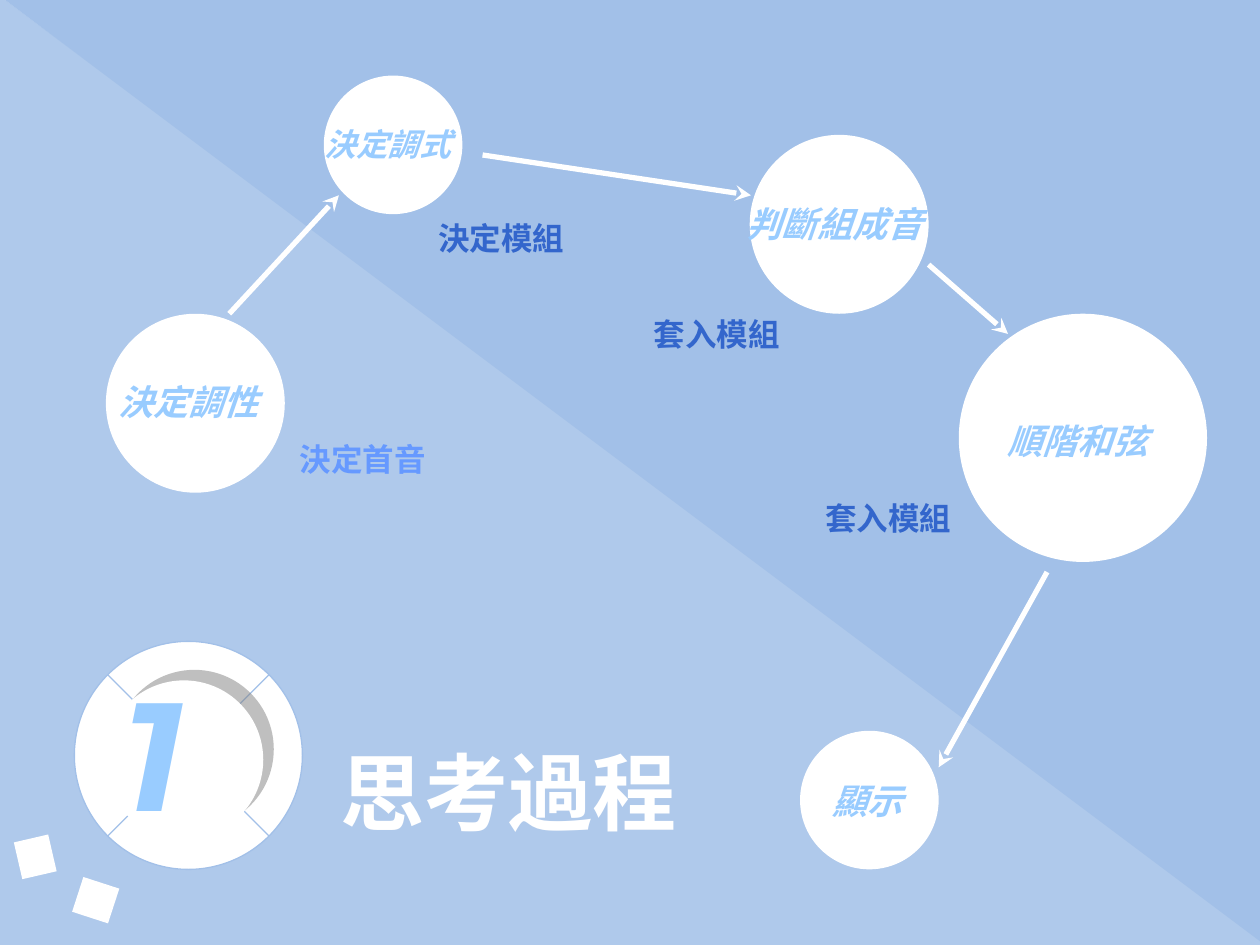
from lxml.etree import SubElement
from pptx import Presentation
from pptx.dml.color import RGBColor
from pptx.enum.shapes import MSO_CONNECTOR as Line, MSO_SHAPE as Kind
from pptx.enum.text import MSO_ANCHOR as Anchor, MSO_AUTO_SIZE as Fit, PP_ALIGN as Align
from pptx.oxml import parse_xml
from pptx.oxml.ns import nsdecls, qn
from pptx.util import Inches, Pt

WHITE = RGBColor(0xFF, 0xFF, 0xFF)
BASE = RGBColor(0xA2, 0xC0, 0xE8)
PALE = RGBColor(0x99, 0xCC, 0xFF)
MID = RGBColor(0x66, 0x99, 0xFF)
DEEP = RGBColor(0x33, 0x66, 0xCC)
SANS, LATIN = "Noto Sans CJK SC", "Montserrat"

deck = Presentation()
deck.slide_width, deck.slide_height = Inches(10), Inches(7.5)
CELL = deck.slide_width // 100  # the grid has 100 columns and 75 rows
slide = deck.slides.add_slide(deck.slide_layouts[5])
shapes = slide.shapes


def cells(*counts):
    """Turn counts of grid cells into lengths."""
    return [round(n * CELL) for n in counts]


def write(words, spot, size=18, font=SANS, color=DEEP, slant=False, box=None):
    box = box or shapes.add_textbox(0, 0, 0, 0)
    box.left, box.top, box.width, box.height = cells(*spot)
    frame = box.text_frame
    frame.word_wrap = True
    frame.auto_size = Fit.SHAPE_TO_FIT_TEXT
    frame.vertical_anchor = Anchor.MIDDLE
    line = frame.paragraphs[0]
    line.alignment = Align.LEFT
    run = line.add_run()
    run.text = words
    face = run.font
    face.name, face.size, face.bold, face.italic = font, Pt(size), True, slant
    face.color.rgb = color
    SubElement(run.font._element, qn("a:ea"), typeface=font)


# Backdrop, badge, loose squares and step circles, from back to front
forms = [
    (Kind.RIGHT_TRIANGLE, (0, -0.3, 101.2, 75.3), 0, BASE),
    (Kind.RIGHT_TRIANGLE, (0, -0.3, 100.4, 75.3), 180, BASE),
    (Kind.FLOWCHART_SUMMING_JUNCTION, (5.9, 50.9, 18.1, 18.1), 0, WHITE),
    (Kind.RECTANGLE, (1.3, 66.6, 3, 2.8), 257, WHITE),
    (Kind.RECTANGLE, (6.1, 70, 3, 2.9), 18, WHITE),
    (Kind.OVAL, (8.3, 54, 12.6, 12.6), 0, WHITE),
]
rings = [(59.5, 10.7, 14.2), (76.1, 24.9, 19.7), (25.7, 6, 11),
         (8.4, 24.9, 14.2), (63.5, 58, 11)]
forms += [(Kind.OVAL, (x, y, d, d), 0, WHITE) for x, y, d in rings]

drawn = []
for kind, spot, turn, color in forms:
    form = shapes.add_shape(kind, *cells(*spot))
    form.rotation = turn
    form.shadow.inherit = False
    form.fill.solid()
    form.fill.fore_color.rgb = color
    form.line.fill.background()
    drawn.append(form)
veil, _, badge, _, _, disc = drawn[:6]

tint = veil.fill._xPr.find(qn("a:solidFill"))[0]
SubElement(tint, qn("a:alpha"), val="85000")
badge.line.color.rgb = BASE
badge.line.width = Pt(0.75)
disc.element.spPr.find(qn("a:effectLst")).append(parse_xml(
    f'<a:outerShdw {nsdecls("a")} blurRad="0" dist="{Pt(8.5)}" dir="{315 * 60000}"'
    ' algn="ctr" rotWithShape="0"><a:srgbClr val="808080"><a:alpha val="50000"/>'
    '</a:srgbClr></a:outerShdw>'))

# Arrows between the steps
for ends in [(18.2, 24.9, 26.9, 15.5), (38.3, 12.3, 59.6, 15.5),
             (73.7, 21, 80, 26.5), (83.1, 45.4, 74.5, 60.9)]:
    arrow = shapes.add_connector(Line.STRAIGHT, *cells(*ends))
    arrow.line.color.rgb = WHITE
    arrow.line.width = Pt(3)
    SubElement(arrow.line._get_or_add_ln(), qn("a:tailEnd"), type="stealth")
    SubElement(arrow.element.spPr, qn("a:effectLst"))

# Title, lifted above the backdrop
title = shapes.title
title.element.getparent().append(title.element)
write("思考過程", (26, 58.3, 53.9, 9), size=48, color=WHITE, box=title)

# Badge number and step names
for words, spot, size in [
    ("1", (8.7, 51.7, 7.5, 15.7), 88),
    ("決定調性", (8.4, 29.7, 14.2, 4.4), 20),
    ("決定調式", (24.8, 9.4, 14.2, 4), 18),
    ("判斷組成音", (58.3, 15.5, 18.9, 4.4), 20),
    ("順階和弦", (79, 32.8, 14.2, 4.4), 20),
    ("顯示", (65.1, 61.3, 7.9, 4.4), 20),
]:
    write(words, spot, size=size, font=LATIN, color=PALE, slant=True)

# Notes beside the steps
for words, x, y, wide, color in [
    ("決定首音", 22.8, 34.4, 18.1, MID),
    ("決定模組", 33.8, 16.9, 18.1, DEEP),
    ("套入模組", 50.9, 24.5, 12.6, DEEP),
    ("套入模組", 64.5, 39.1, 12.6, DEEP),
]:
    write(words, (x, y, wide, 4), color=color)

deck.save("out.pptx")
